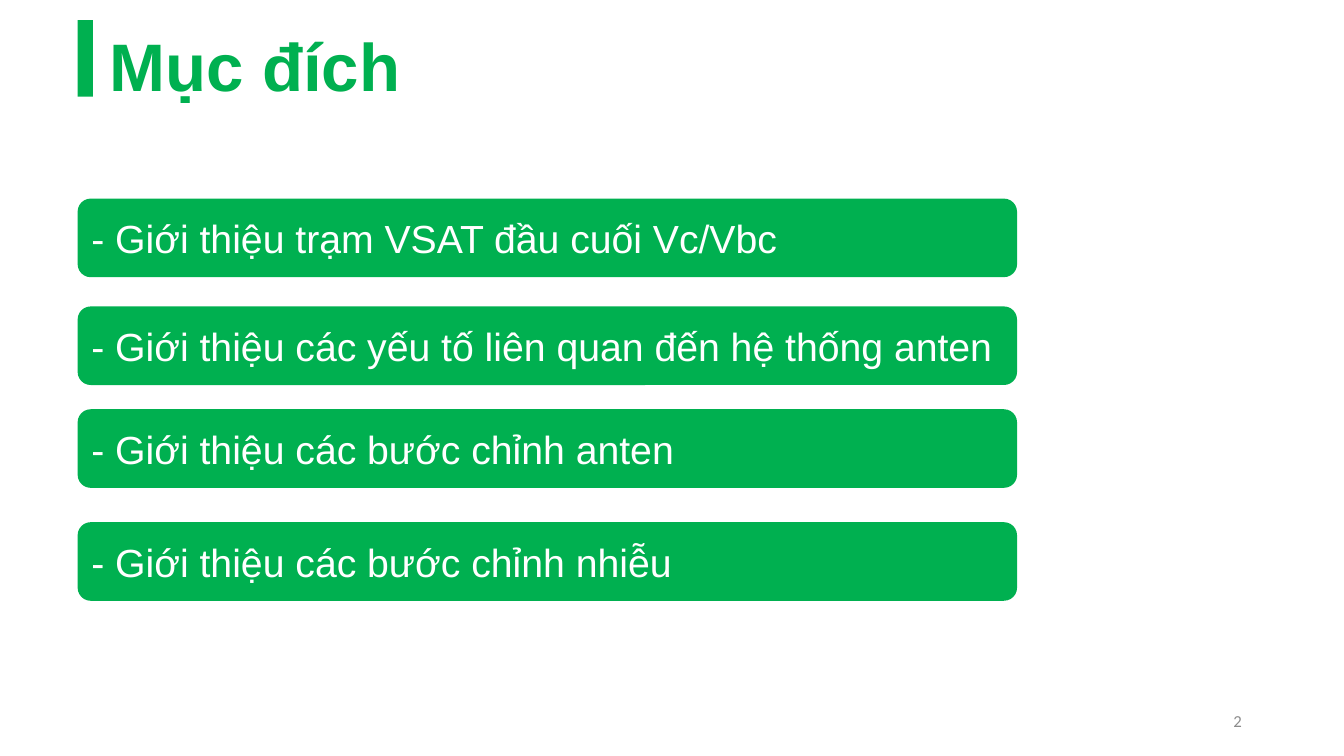
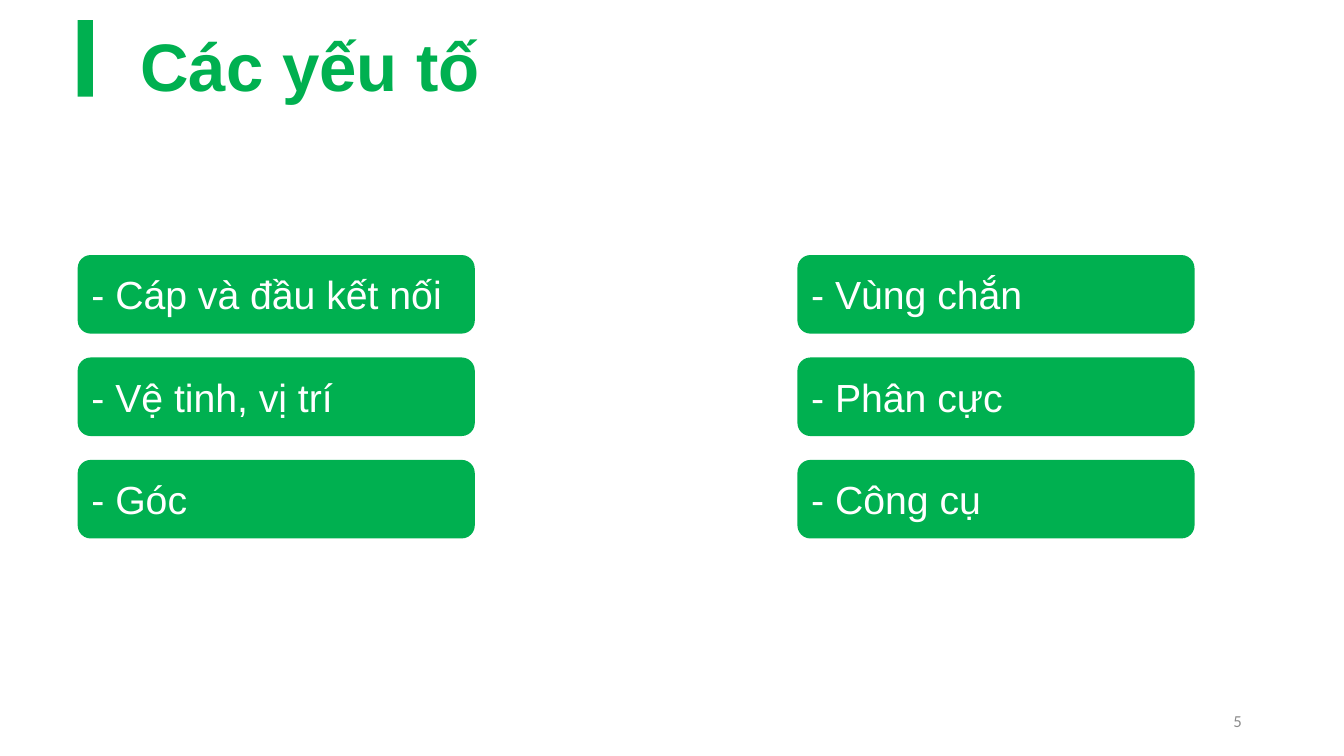
"""Build two slides about VSAT antenna alignment."""
import dataclasses
import typing

import pptx
import pptx.dml.color
import pptx.enum.shapes
import pptx.enum.text
import pptx.util

Align = pptx.enum.text.PP_ALIGN
Shape = pptx.enum.shapes.MSO_SHAPE
HUES = {"green": "00B050", "white": "FFFFFF", "gray": "8C8C8C"}
WIDE, HIGH = pptx.util.Inches(13.333), pptx.util.Inches(7.5)
EDGE, TALL = 5.78, 10.4
FORMS = {
    "title": {"name": "Arial", "size": pptx.util.Pt(48), "bold": True},
    "card": {"name": "Arial", "size": pptx.util.Pt(28), "bold": False},
    "page": {"name": "Calibri", "size": pptx.util.Pt(12), "bold": False},
}


@dataclasses.dataclass(frozen=True)
class Box:
    left: float
    top: float
    width: float
    height: float

    def place(self) -> tuple[int, int, int, int]:
        return (
            round(WIDE * self.left / 100),
            round(HIGH * self.top / 100),
            round(WIDE * self.width / 100),
            round(HIGH * self.height / 100),
        )


@dataclasses.dataclass(frozen=True)
class Card:
    text: str
    box: Box


@dataclasses.dataclass(frozen=True)
class Page:
    title: str
    span: float
    number: str
    cards: list[Card]


def write(shape: typing.Any, text: str, form: str, hue: str, align: Align) -> None:
    frame = shape.text_frame
    frame.word_wrap = True
    frame.vertical_anchor = pptx.enum.text.MSO_ANCHOR.MIDDLE
    line = frame.paragraphs[0]
    line.alignment = align
    run = line.add_run()
    run.text = text
    for key, value in FORMS[form].items():
        setattr(run.font, key, value)
    run.font.color.rgb = pptx.dml.color.RGBColor.from_string(HUES[hue])


def label(slide: typing.Any, box: Box, text: str, form: str, hue: str, align: Align) -> None:
    write(slide.shapes.add_textbox(*box.place()), text, form, hue, align)


def block(slide: typing.Any, kind: Shape, box: Box) -> typing.Any:
    shape = slide.shapes.add_shape(kind, *box.place())
    shape.shadow.inherit = False
    shape.fill.solid()
    shape.fill.fore_color.rgb = pptx.dml.color.RGBColor.from_string(HUES["green"])
    shape.line.fill.background()
    return shape


def draw(deck: typing.Any, page: Page) -> None:
    slide = deck.slides.add_slide(deck.slide_layouts[6])
    label(slide, Box(3.45, 3.47, page.span, 10.13), page.title, "title", "green", Align.CENTER)
    block(slide, Shape.RECTANGLE, Box(EDGE, 2.67, 1.13, 10.13))
    for card in page.cards:
        shape = block(slide, Shape.ROUNDED_RECTANGLE, card.box)
        write(shape, card.text, "card", "white", Align.LEFT)
    label(slide, Box(70.65, 92.67, 22.5, 5.33), page.number, "page", "gray", Align.RIGHT)


def main() -> None:
    goals = {
        "- Giới thiệu trạm VSAT đầu cuối Vc/Vbc": 26.27,
        "- Giới thiệu các yếu tố liên quan đến hệ thống anten": 40.53,
        "- Giới thiệu các bước chỉnh anten": 54.13,
        "- Giới thiệu các bước chỉnh nhiễu": 69.07,
    }
    parts = {
        EDGE: ["- Cáp và đầu kết nối", "- Vệ tinh, vị trí", "- Góc"],
        59.33: ["- Vùng chắn", "- Phân cực", "- Công cụ"],
    }
    first = [Card(text, Box(EDGE, top, 69.9, TALL)) for text, top in goals.items()]
    second = [
        Card(text, Box(left, 33.73 + 13.55 * row, 29.55, TALL))
        for left, texts in parts.items()
        for row, text in enumerate(texts)
    ]
    deck = pptx.Presentation()
    deck.slide_width, deck.slide_height = WIDE, HIGH
    for page in (
        Page("Mục đích", 31.05, "2", first),
        Page("Các yếu tố ", 40.65, "5", second),
    ):
        draw(deck, page)
    deck.save("out.pptx")


if __name__ == "__main__":
    main()
